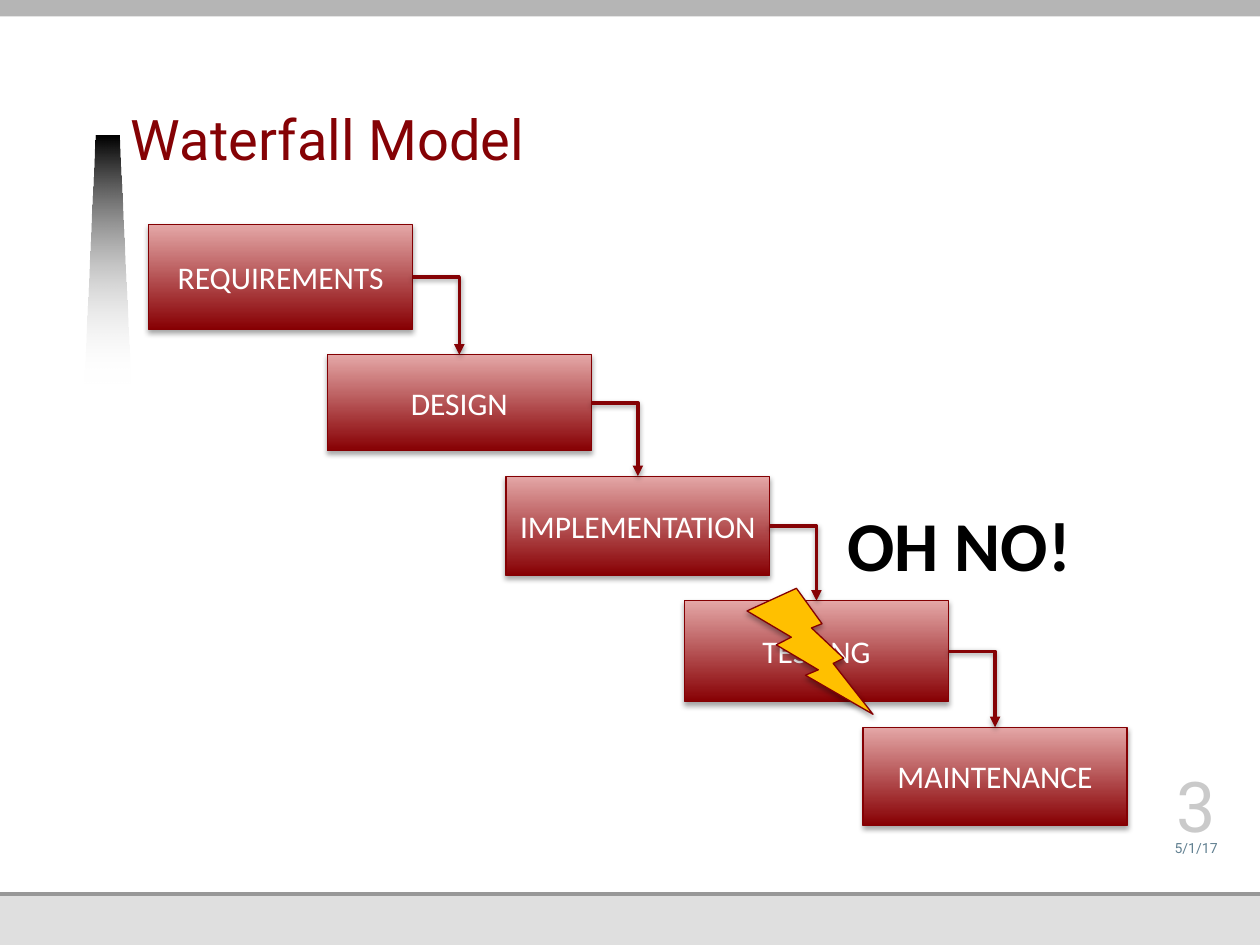
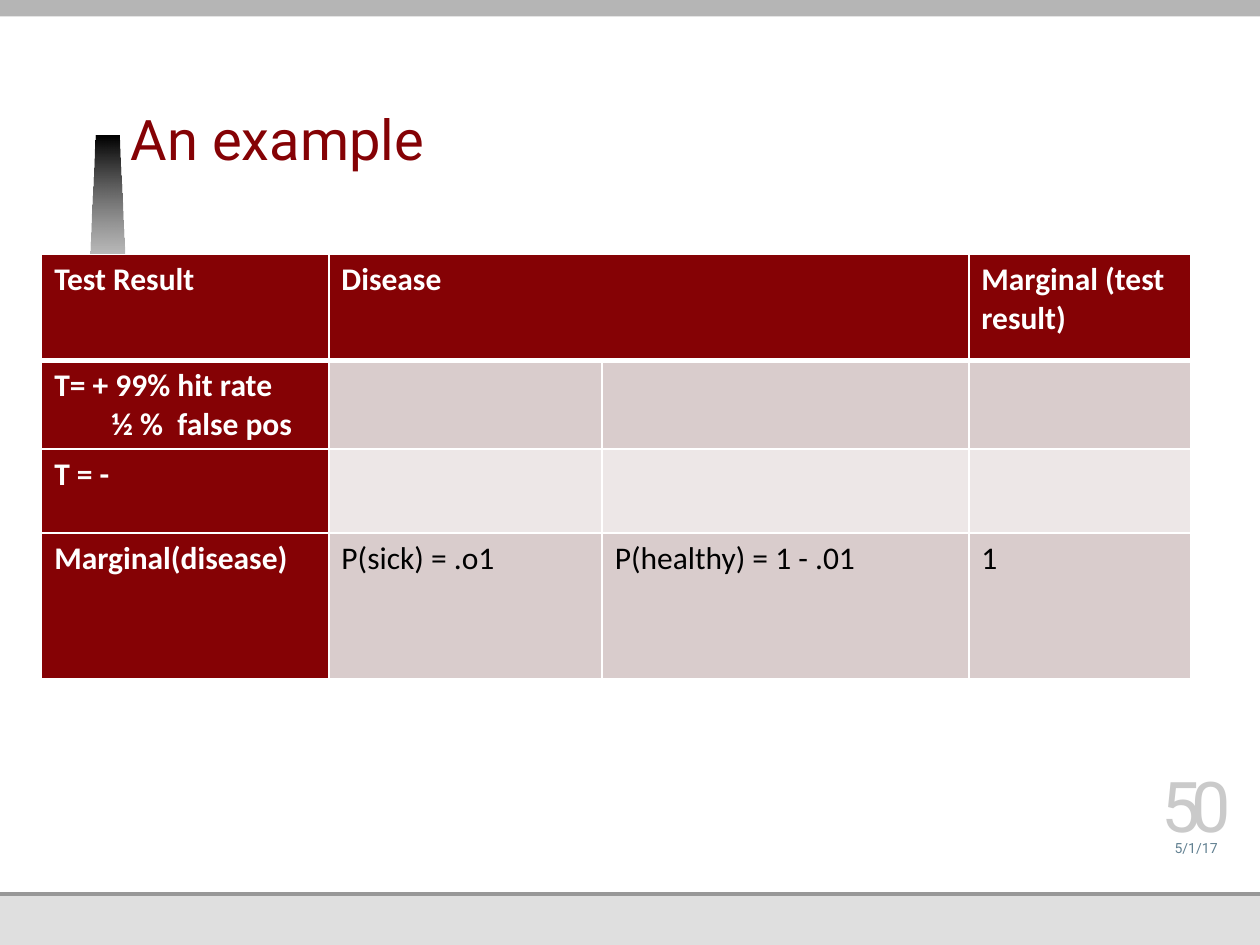
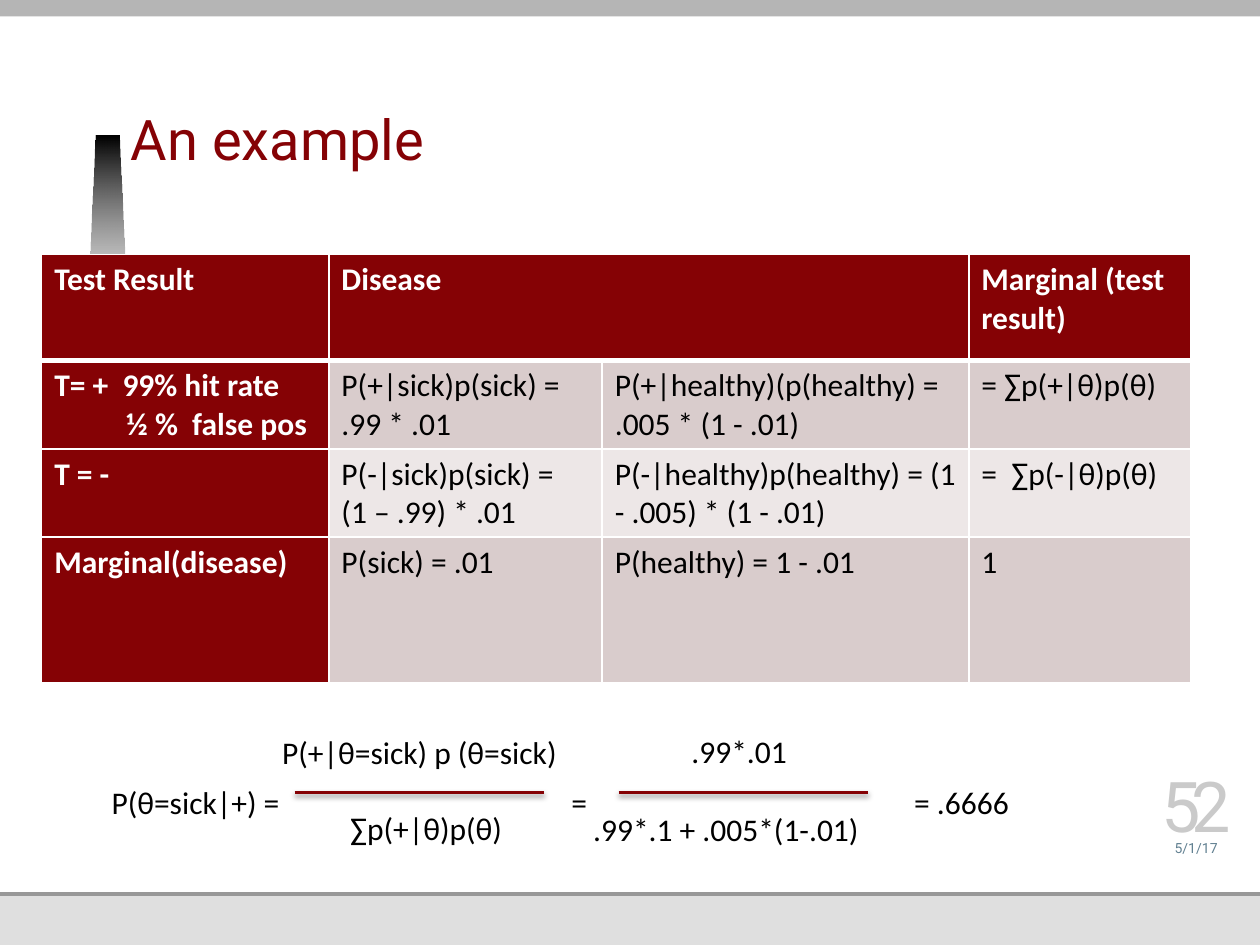
from pptx import Presentation
from pptx.dml.color import RGBColor
from pptx.enum.shapes import MSO_CONNECTOR, MSO_SHAPE
from pptx.enum.text import MSO_ANCHOR, MSO_AUTO_SIZE, PP_ALIGN
from pptx.oxml import parse_xml
from pptx.oxml.ns import nsdecls, qn
from pptx.util import Cm, Pt

RECTANGLE = MSO_SHAPE.RECTANGLE
LIGHTNING = MSO_SHAPE.LIGHTNING_BOLT
STRAIGHT = MSO_CONNECTOR.STRAIGHT
ELBOW = MSO_CONNECTOR.ELBOW
LEFT, CENTER = PP_ALIGN.LEFT, PP_ALIGN.CENTER
TOP, MIDDLE, BOTTOM = MSO_ANCHOR.TOP, MSO_ANCHOR.MIDDLE, MSO_ANCHOR.BOTTOM

COLORS = {
    "accent": "850205",
    "box_dark": "870003",
    "box_light": "E4A7A7",
    "box_line": "840003",
    "bolt": "FFC000",
    "footer": "DFDFDF",
    "footer_rule": "989898",
    "top_band": "B5B5B5",
    "row_odd": "D9CCCC",
    "row_even": "EDE7E7",
    "date": "618091",
    "number": "CACACA",
    "black": "000000",
    "white": "FFFFFF",
}
HEADING_FONT = "Roboto"
BODY_FONT = "Calibri"
DATE = "5/1/17"
SLIDE_WIDTH, SLIDE_HEIGHT = 25.4, 19.05

STAGES = [
    ("REQUIREMENTS", 2.11),
    ("DESIGN", 1.94),
    ("IMPLEMENTATION", 2.0),
    ("TESTING", 2.04),
    ("MAINTENANCE", 1.98),
]
COLUMN_WIDTHS = [5.79, 5.51, 7.39, 4.47]
ROW_HEIGHTS = [2.14, 1.7, 1.7, 2.94]
HEADER = ["Test Result", "Disease", "", "Marginal (test result)"]
EMPTY_ROWS = [
    HEADER,
    ["T= + 99% hit rate\v½ %  false pos", "", "", ""],
    ["T = -", "", "", ""],
    ["Marginal(disease)", "P(sick) = .o1", "P(healthy) = 1 - .01", "1"],
]
FILLED_ROWS = [
    HEADER,
    ["T= +  99% hit rate\v½ %  false pos", "P(+|sick)p(sick) = .99 * .01",
     "P(+|healthy)(p(healthy) = .005 * (1 - .01)", "= ∑p(+|θ)p(θ)"],
    ["T = -", "P(-|sick)p(sick) =\v(1 – .99) * .01",
     "P(-|healthy)p(healthy) = (1 - .005) * (1 - .01)", "=  ∑p(-|θ)p(θ)"],
    ["Marginal(disease)", "P(sick) = .01", "P(healthy) = 1 - .01", "1"],
]


def color(name):
    return RGBColor.from_string(COLORS[name])


def lengths(*values):
    return [Cm(value) for value in values]


def write_text(frame, text, size=18, fill="black", font=BODY_FONT, bold=False,
               align=LEFT, anchor=None, margins=None, wrap=True,
               line_spacing=None, hanging=None, tabs=()):
    frame.word_wrap = wrap
    if anchor is not None:
        frame.vertical_anchor = anchor
    if margins:
        (frame.margin_left, frame.margin_top,
         frame.margin_right, frame.margin_bottom) = lengths(*margins)
    paragraph = frame.paragraphs[0]
    paragraph.text = text
    paragraph.alignment = align
    if line_spacing:
        paragraph.line_spacing = Pt(line_spacing)
    properties = paragraph.runs[0]._r.getparent().get_or_add_pPr() if text else None
    if hanging:
        properties.set("marL", str(Cm(hanging)))
        properties.set("indent", str(-Cm(hanging)))
    if tabs:
        stops = "".join(f'<a:tab pos="{Cm(tab)}" algn="l"/>' for tab in tabs)
        properties.append(parse_xml(f'<a:tabLst {nsdecls("a")}>{stops}</a:tabLst>'))
    for run in paragraph.runs:
        run.font.size = Pt(size)
        run.font.name = font
        run.font.bold = bold
        run.font.color.rgb = color(fill)


def add_text(slide, text, box, **text_format):
    shape = slide.shapes.add_textbox(*lengths(*box))
    write_text(shape.text_frame, text, **text_format)
    return shape


def add_block(slide, preset, box, fill, line=None):
    shape = slide.shapes.add_shape(preset, *lengths(*box))
    shape.shadow.inherit = False
    shape.fill.solid()
    shape.fill.fore_color.rgb = color(fill)
    if line:
        shape.line.color.rgb = color(line)
        shape.line.width = Pt(0.75)
    else:
        shape.line.fill.background()
    return shape


def fill_gradient(shape, names, angle):
    shape.fill.gradient()
    shape.fill.gradient_angle = angle
    for stop, name in zip(shape.fill.gradient_stops, names):
        stop.color.rgb = color(name)


def add_shadow(shape, alpha, distance):
    properties = shape.element.spPr
    for effects in properties.findall(qn("a:effectLst")):
        properties.remove(effects)
    properties.append(parse_xml(
        f'<a:effectLst {nsdecls("a")}><a:outerShdw blurRad="{Pt(3.1)}" '
        f'dist="{Pt(distance)}" dir="5400000" rotWithShape="0">'
        f'<a:srgbClr val="{COLORS["black"]}"><a:alpha val="{alpha * 1000}"/>'
        '</a:srgbClr></a:outerShdw></a:effectLst>'))


def add_line(slide, kind, start, end):
    connector = slide.shapes.add_connector(kind, *lengths(*start, *end))
    connector.line.color.rgb = color("accent")
    connector.line.width = Pt(2)
    add_shadow(connector, 38, 1.6)
    return connector


def add_wedge(slide, left, top):
    points = [lengths(left + x, top + y)
              for x, y in [(0, 5), (0.23, 0), (0.71, 0), (0.94, 5)]]
    builder = slide.shapes.build_freeform(*points[0])
    builder.add_line_segments(points[1:], close=True)
    wedge = builder.convert_to_shape()
    wedge.shadow.inherit = False
    wedge.line.fill.background()
    fill_gradient(wedge, ["black", "white"], 270)
    last_color = wedge.element.xpath(".//a:gs/a:srgbClr")[-1]
    last_color.append(parse_xml(f'<a:alpha {nsdecls("a")} val="0"/>'))
    return wedge


def move_backdrop_to_layout(slide, layout):
    for placeholder in list(layout.placeholders):
        if placeholder.placeholder_format.idx:
            placeholder.element.getparent().remove(placeholder.element)
    bands = [
        ((0, 0, SLIDE_WIDTH, SLIDE_HEIGHT), "footer"),
        ((0, 4.52, SLIDE_WIDTH, 13.54), "footer_rule"),
        ((0, 0, SLIDE_WIDTH, 17.98), "white"),
        ((0, 0, SLIDE_WIDTH, 0.33), "top_band"),
    ]
    backdrop = [add_block(slide, RECTANGLE, box, fill) for box, fill in bands]
    backdrop.append(add_wedge(slide, 1.7, 2.74))
    for position, shape in enumerate(backdrop, start=2):
        layout.shapes.element.insert(position, shape.element)


def add_title(slide, text):
    title = slide.shapes.title
    title.left, title.top, title.width, title.height = lengths(2.64, 0.86, 17.45, 2.74)
    title.text_frame.auto_size = MSO_AUTO_SIZE.NONE
    write_text(title.text_frame, text, size=32, fill="accent", font=HEADING_FONT,
               anchor=BOTTOM, margins=(0, 0, 0, 0.13), line_spacing=34)


def add_page_mark(slide, number, left=23.19, top=15.65):
    shared = dict(font=HEADING_FONT, align=CENTER, anchor=BOTTOM, margins=(0, 0, 0, 0))
    add_text(slide, DATE, (left, top + 1.06, 1.85, 0.56), size=8, fill="date", **shared)
    mark = add_text(slide, number, (left, top, 1.85, 1.42), size=40, fill="number", **shared)
    for properties in mark.element.iter(qn("a:rPr")):
        properties.set("spc", "-500")


def add_waterfall(slide, left, top):
    width, step, gap = 5.32, 3.6, 0.51
    boxes = []
    stage_top = top
    for index, (name, height) in enumerate(STAGES):
        box = add_block(slide, RECTANGLE, (left + index * step, stage_top, width, height),
                        "box_dark", "box_line")
        fill_gradient(box, ["box_dark", "box_light"], 90)
        add_shadow(box, 35, 1.8)
        write_text(box.text_frame, name, fill="white", align=CENTER, anchor=MIDDLE)
        boxes.append(box)
        stage_top += height + gap
    for upper, lower in zip(boxes, boxes[1:]):
        arrow = add_line(slide, ELBOW, (0, 0), (1, 1))
        arrow.begin_connect(upper, 3)
        arrow.end_connect(lower, 0)
        properties = arrow.element.spPr
        properties.find(qn("a:prstGeom")).set("prst", "bentConnector2")
        properties.find(qn("a:ln")).append(
            parse_xml(f'<a:tailEnd {nsdecls("a")} type="triangle"/>'))
    bolt = add_block(slide, LIGHTNING, (left + 12.06, top + 7.33, 2.54, 2.54),
                     "bolt", "box_line")
    add_shadow(bolt, 35, 1.8)
    add_text(slide, "OH NO!", (left + 13.84, top + 5.45, 5.05, 1.96),
             size=40, bold=True, wrap=False)


def add_cell_borders(frame):
    for index, properties in enumerate(frame.element.iter(qn("a:tcPr"))):
        row = index // len(COLUMN_WIDTHS)
        widths = {"lnL": 1, "lnR": 1, "lnT": 3 if row == 1 else 1, "lnB": 3 if row == 0 else 1}
        for position, (side, width) in enumerate(widths.items()):
            properties.insert(position, parse_xml(
                f'<a:{side} {nsdecls("a")} w="{Pt(width)}"><a:solidFill>'
                f'<a:srgbClr val="{COLORS["white"]}"/></a:solidFill></a:{side}>'))


def add_probability_table(slide, rows, hanging, left=0.84, top=5.13):
    frame = slide.shapes.add_table(
        len(rows), len(COLUMN_WIDTHS),
        *lengths(left, top, sum(COLUMN_WIDTHS), sum(ROW_HEIGHTS)))
    table = frame.table
    for column, width in zip(table.columns, COLUMN_WIDTHS):
        column.width = Cm(width)
    for row_index, (row, height) in enumerate(zip(rows, ROW_HEIGHTS)):
        table.rows[row_index].height = Cm(height)
        for column_index, text in enumerate(row):
            cell = table.cell(row_index, column_index)
            heading = row_index == 0 or column_index == 0
            band = "row_odd" if row_index % 2 else "row_even"
            cell.fill.solid()
            cell.fill.fore_color.rgb = color("accent" if heading else band)
            cell.vertical_anchor = TOP
            write_text(cell.text_frame, text, fill="white" if heading else "black",
                       bold=heading,
                       hanging=hanging if column_index == 0 and "\v" in text else None)
    add_cell_borders(frame)
    table.cell(0, 1).merge(table.cell(0, 2))


def add_equation(slide, left, top):
    add_text(slide, "P(θ=sick|+) =\t=\t= .6666", (left, top + 1.04, 18.97, 1.02),
             tabs=(9.27, 16.18))
    terms = [
        ("P(+|θ=sick) p (θ=sick)", 3.44, 0.02, 6.1),
        ("∑p(+|θ)p(θ)", 4.81, 1.55, 3.61),
        (".99*.01", 11.69, 0, 2.46),
        (".99*.1 + .005*(1-.01)", 9.71, 1.57, 5.92),
    ]
    for text, x, y, width in terms:
        add_text(slide, text, (left + x, top + y, width, 1.02), wrap=False)
    for x in (3.94, 10.47):
        add_line(slide, STRAIGHT, (left + x, top + 1.35), (left + x + 5.03, top + 1.35))


def main():
    presentation = Presentation()
    presentation.slide_width, presentation.slide_height = lengths(SLIDE_WIDTH, SLIDE_HEIGHT)
    layout = presentation.slide_layouts[5]
    pages = [("Waterfall Model", "3"), ("An example", "50"), ("An example", "52")]
    slides = [presentation.slides.add_slide(layout) for _ in pages]
    move_backdrop_to_layout(slides[0], layout)
    for slide, (title, number) in zip(slides, pages):
        add_title(slide, title)
        add_page_mark(slide, number)
    waterfall_slide, question_slide, answer_slide = slides
    add_waterfall(waterfall_slide, 3, 4.53)
    add_probability_table(question_slide, EMPTY_ROWS, 1.15)
    add_probability_table(answer_slide, FILLED_ROWS, 1.45)
    add_equation(answer_slide, 2, 14.63)
    presentation.save("out.pptx")


if __name__ == "__main__":
    main()
